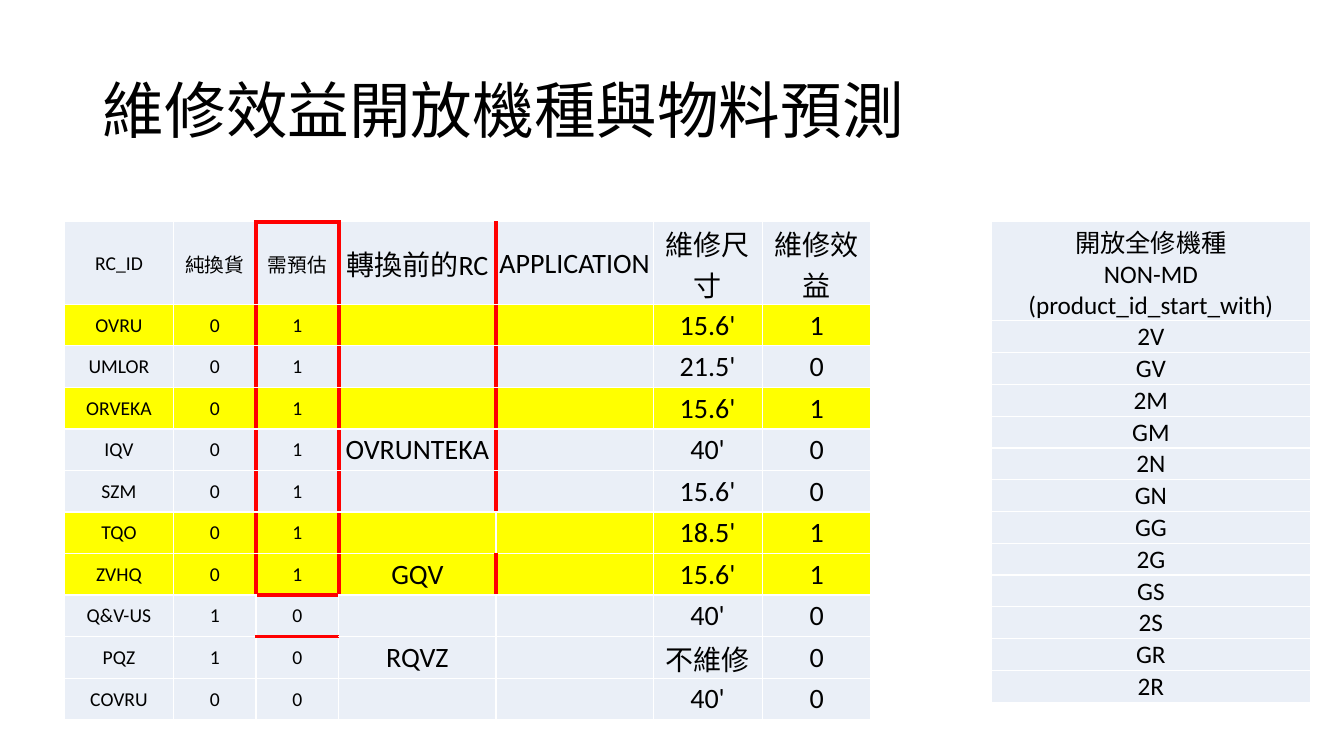
from dataclasses import dataclass
from typing import Callable

from lxml import etree
from pptx import Presentation
from pptx import util as u
from pptx.dml import color
from pptx.enum import text
from pptx.oxml import ns

FONT = "Calibri"
BLACK, WHITE, RED = "000000", "FFFFFF", "FF0000"
PALE, YELLOW = "EAEFF7", "FFFF00"
HIGHLIGHTED = {"OVRU", "ORVEKA", "TQO", "ZVHQ"}

REPAIR_ROWS = [
    ["RC_ID", "純換貨", "需預估", "轉換前的RC", "APPLICATION", "維修尺寸", "維修效益"],
    ["OVRU", "0", "1", "", "", "15.6'", "1"],
    ["UMLOR", "0", "1", "", "", "21.5'", "0"],
    ["ORVEKA", "0", "1", "", "", "15.6'", "1"],
    ["IQV", "0", "1", "OVRUNTEKA", "", "40'", "0"],
    ["SZM", "0", "1", "", "", "15.6'", "0"],
    ["TQO", "0", "1", "", "", "18.5'", "1"],
    ["ZVHQ", "0", "1", "GQV", "", "15.6'", "1"],
    ["Q&V-US", "1", "0", "", "", "40'", "0"],
    ["PQZ", "1", "0", "RQVZ", "", "不維修", "0"],
    ["COVRU", "0", "0", "", "", "40'", "0"],
]
MODEL_PREFIXES = "2V GV 2M GM 2N GN GG 2G GS 2S GR 2R".split()
MODEL_ROWS = [["開放全修機種\nNON-MD (product_id_start_with)"]] + [
    [prefix] for prefix in MODEL_PREFIXES
]


@dataclass(frozen=True)
class TableSpec:
    rows: list[list[str]]
    left: float
    top: float
    height: float
    header_height: float
    column_widths: list[float]
    column_sizes: list[int]
    red_vertical: Callable[[int, int], bool]
    red_horizontal: Callable[[int, int], bool]


def estimate_vertical(row: int, edge: int) -> bool:
    return row <= 7 and (edge in (2, 3) or (edge == 4 and row != 6))


def estimate_horizontal(edge: int, column: int) -> bool:
    return column == 2 and edge in (0, 8, 9)


def never(first: int, second: int) -> bool:
    return False


TABLES = [
    TableSpec(REPAIR_ROWS, 0.64, 2.2, 4.94, 0.82,
              [1.08, 0.82, 0.82, 1.56, 1.56, 1.08, 1.08],
              [14] * 3 + [20] * 4, estimate_vertical, estimate_horizontal),
    TableSpec(MODEL_ROWS, 9.83, 2.2, 4.76, 0.98, [3.17], [18], never, never),
]


def rgb(value: str) -> color.RGBColor:
    return color.RGBColor.from_string(value)


def write_text(frame, content: str, *, size: int, alignment, spacing: float = 1.0) -> None:
    frame.text = content
    frame.word_wrap = True
    frame.vertical_anchor = text.MSO_ANCHOR.MIDDLE
    for paragraph in frame.paragraphs:
        paragraph.alignment = alignment
        paragraph.line_spacing = spacing
        paragraph.font.size = u.Pt(size)
        for run in paragraph.runs:
            run.font.name = FONT
            run.font.size = u.Pt(size)
            run.font.color.rgb = rgb(BLACK)


def add_border(cell, side: str, is_red: bool) -> None:
    properties = cell._tc.get_or_add_tcPr()
    line = etree.SubElement(properties, ns.qn(f"a:ln{side}"),
                            w=str(u.Pt(3 if is_red else 1)))
    fill = etree.SubElement(line, ns.qn("a:solidFill"))
    etree.SubElement(fill, ns.qn("a:srgbClr"), val=RED if is_red else WHITE)


def draw_table(slide, layout: TableSpec) -> None:
    rows = layout.rows
    frame = slide.shapes.add_table(
        len(rows), len(rows[0]), u.Inches(layout.left), u.Inches(layout.top),
        u.Inches(sum(layout.column_widths)), u.Inches(layout.height))
    table = frame.table
    table.first_row = False
    table.horz_banding = False
    for column, width in zip(table.columns, layout.column_widths):
        column.width = u.Inches(width)
    body_height = (layout.height - layout.header_height) / (len(rows) - 1)
    for i, values in enumerate(rows):
        table.rows[i].height = u.Inches(body_height if i else layout.header_height)
        for j, value in enumerate(values):
            cell = table.cell(i, j)
            write_text(cell.text_frame, value, size=layout.column_sizes[j],
                       alignment=text.PP_ALIGN.CENTER)
            cell.vertical_anchor = text.MSO_ANCHOR.MIDDLE
            cell.margin_left = cell.margin_right = cell.margin_top = u.Inches(0.01)
            cell.margin_bottom = 0
            add_border(cell, "L", layout.red_vertical(i, j))
            add_border(cell, "R", layout.red_vertical(i, j + 1))
            add_border(cell, "T", layout.red_horizontal(i, j))
            add_border(cell, "B", layout.red_horizontal(i + 1, j))
            cell.fill.solid()
            cell.fill.fore_color.rgb = rgb(YELLOW if values[0] in HIGHLIGHTED else PALE)


def main() -> None:
    presentation = Presentation()
    presentation.slide_width = u.Inches(13.33)
    presentation.slide_height = u.Inches(7.5)
    slide = presentation.slides.add_slide(presentation.slide_layouts[5])
    title = slide.shapes.title
    title.left, title.top = u.Inches(0.92), u.Inches(0.4)
    title.width, title.height = u.Inches(11.5), u.Inches(1.45)
    write_text(title.text_frame, "維修效益開放機種與物料預測", size=44,
               alignment=text.PP_ALIGN.LEFT, spacing=0.9)
    for layout in TABLES:
        draw_table(slide, layout)
    presentation.save("out.pptx")


if __name__ == "__main__":
    main()
